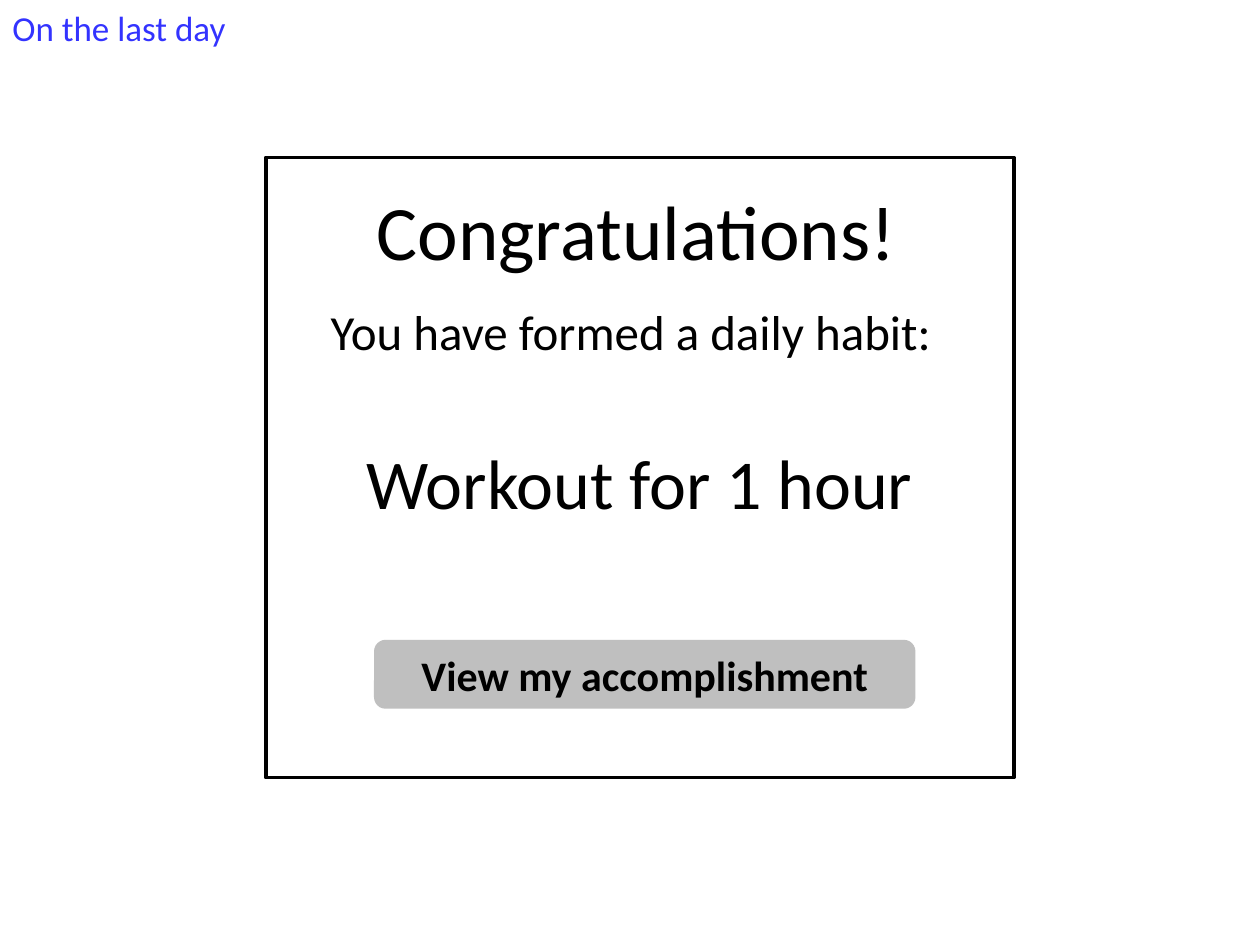
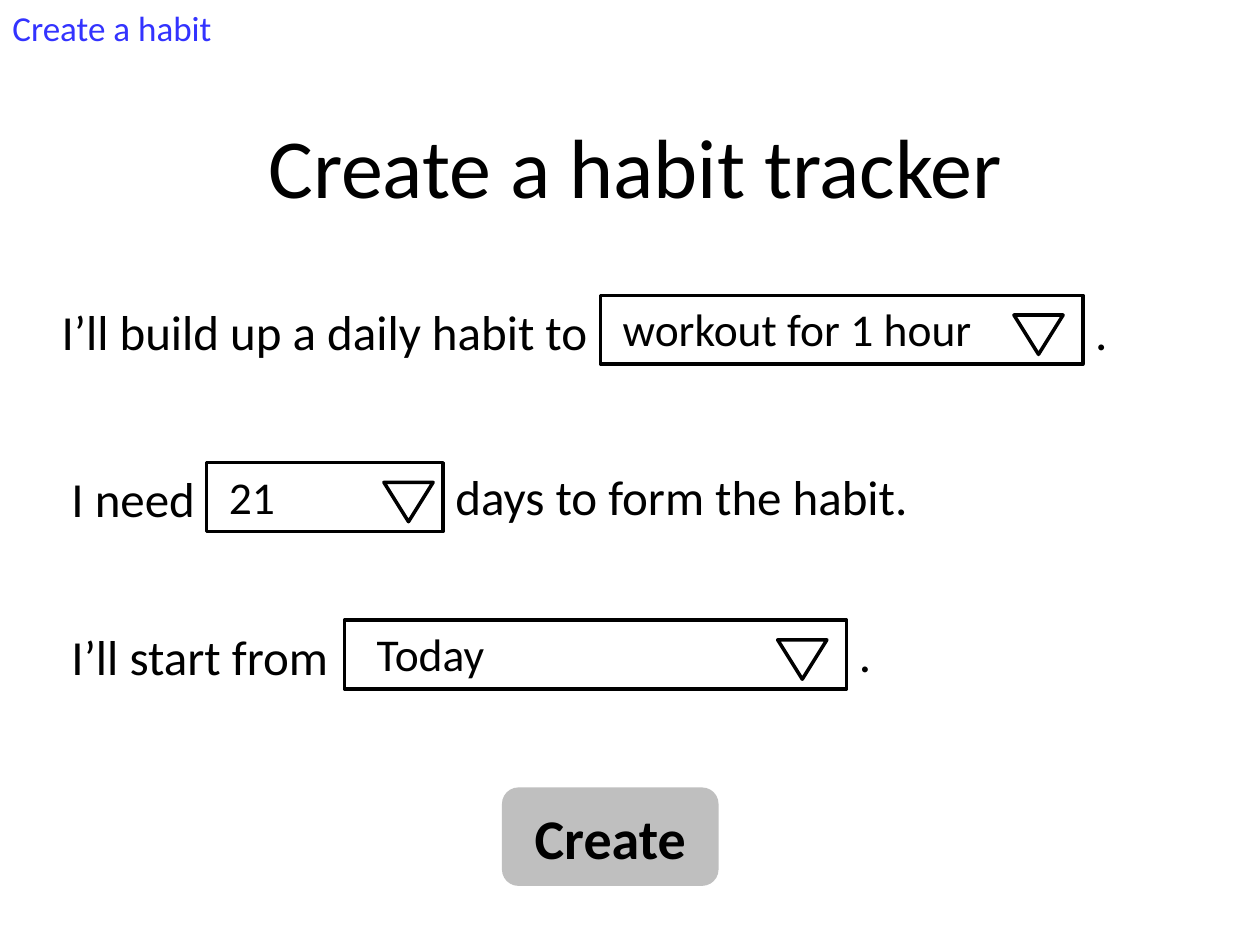
from pptx import Presentation
from pptx.dml.color import RGBColor
from pptx.enum.shapes import MSO_SHAPE
from pptx.enum.text import MSO_ANCHOR, MSO_AUTO_SIZE, PP_ALIGN
from pptx.util import Inches, Pt

BLACK = RGBColor(0x00, 0x00, 0x00)
BLUE = RGBColor(0x33, 0x33, 0xFF)
GRAY = RGBColor(0xBF, 0xBF, 0xBF)
FONT = "Calibri"
COLS, ROWS = 128, 96
FIELD_HEIGHT = 7


class Wireframe:
    def __init__(self):
        self.prs = Presentation()
        self.prs.slide_width = Inches(10)
        self.prs.slide_height = Inches(7.5)
        self.col = self.prs.slide_width / COLS
        self.row = self.prs.slide_height / ROWS

    def page(self, note, width):
        self.s = self.prs.slides.add_slide(self.prs.slide_layouts[6])
        self.text(note, 0, 0, width, 20, BLUE)

    def set_words(self, tf, words, size, color=BLACK, align=PP_ALIGN.LEFT, bold=False):
        p = tf.paragraphs[0]
        p.alignment = align
        p.font.name = FONT
        p.font.size = Pt(size)
        p.font.bold = bold
        p.font.color.rgb = color
        p.add_run().text = words

    def text(self, words, x, y, width, size, color=BLACK, align=PP_ALIGN.LEFT):
        height = Pt(size * 1.2) + Inches(0.1)
        sp = self.s.shapes.add_textbox(
            round(x * self.col), round(y * self.row), round(width * self.col), height)
        tf = sp.text_frame
        tf.word_wrap = False
        tf.auto_size = MSO_AUTO_SIZE.SHAPE_TO_FIT_TEXT
        self.set_words(tf, words, size, color, align)

    def shape(self, kind, x, y, width, height):
        sp = self.s.shapes.add_shape(
            kind, round(x * self.col), round(y * self.row),
            round(width * self.col), round(height * self.row))
        sp.shadow.inherit = False
        return sp

    def outline(self, kind, x, y, width, height):
        sp = self.shape(kind, x, y, width, height)
        sp.fill.background()
        sp.line.color.rgb = BLACK
        sp.line.width = Pt(2)
        return sp

    def button(self, words, x, y, width, height, size):
        sp = self.shape(MSO_SHAPE.ROUNDED_RECTANGLE, x, y, width, height)
        sp.fill.solid()
        sp.fill.fore_color.rgb = GRAY
        sp.line.fill.background()
        sp.text_frame.vertical_anchor = MSO_ANCHOR.MIDDLE
        self.set_words(sp.text_frame, words, size, align=PP_ALIGN.CENTER, bold=True)

    def dropdown(self, value, x, y, width, value_width, indent=1, arrow_gap=7):
        self.outline(MSO_SHAPE.RECTANGLE, x, y, width, FIELD_HEIGHT)
        arrow = self.outline(
            MSO_SHAPE.ISOSCELES_TRIANGLE, x + width - arrow_gap, y + 2, 5, 4)
        arrow.rotation = 180
        self.text(value, x + indent, y, value_width, 26)


def congratulations(w):
    w.page("On the last day", 24.45)
    w.outline(MSO_SHAPE.RECTANGLE, 27, 16, 76, 63)
    w.text("Congratulations!", 37, 18, 55.94, 44)
    w.text("You have formed a daily habit: ", 32, 30, 65.28, 28, align=PP_ALIGN.CENTER)
    w.text("Workout for 1 hour", 36, 44, 58.62, 40)
    w.button("View my accomplishment", 38, 65, 55, FIELD_HEIGHT, 24)


def create_habit(w):
    w.page("Create a habit", 23.04)
    w.text("Create a habit tracker", 26, 11, 77.95, 48)

    w.text("I’ll build up a daily habit to", 5, 30, 56.58, 28)
    w.dropdown("workout for 1 hour", 61, 30, 49, 39.55)
    w.text(".", 110, 30, 3.84, 28)

    w.text("I need", 6, 47, 15.23, 28)
    w.dropdown("21", 21, 47, 24, 7.3, arrow_gap=6)
    w.text("days to form the habit.", 45, 46.72, 49.02, 28)

    w.text("I’ll start from", 6, 63, 30.08, 28)
    w.dropdown("Today", 35, 63, 51, 13.57, indent=2)
    w.text(".", 86, 62.72, 3.84, 28)

    w.button("Create", 51, 80, 22, 10, 32)


def main():
    w = Wireframe()
    congratulations(w)
    create_habit(w)
    w.prs.save("out.pptx")


if __name__ == "__main__":
    main()
